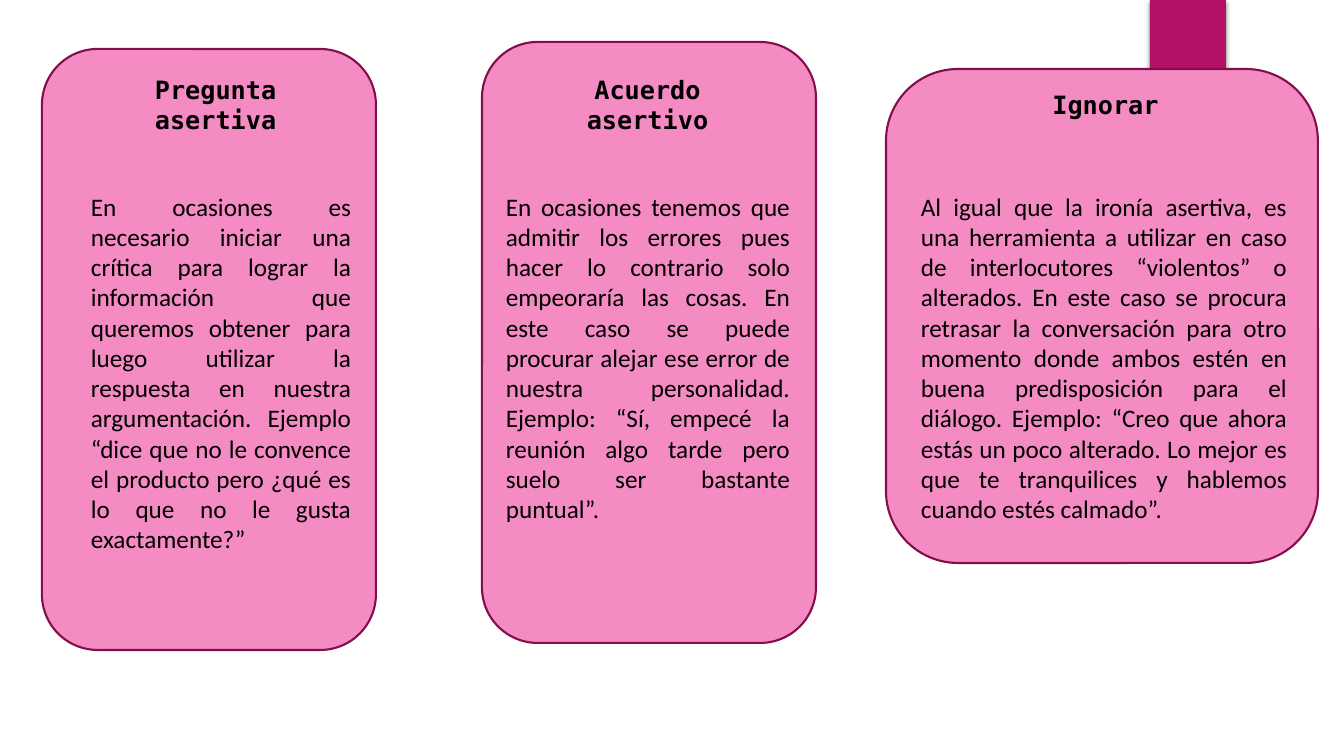
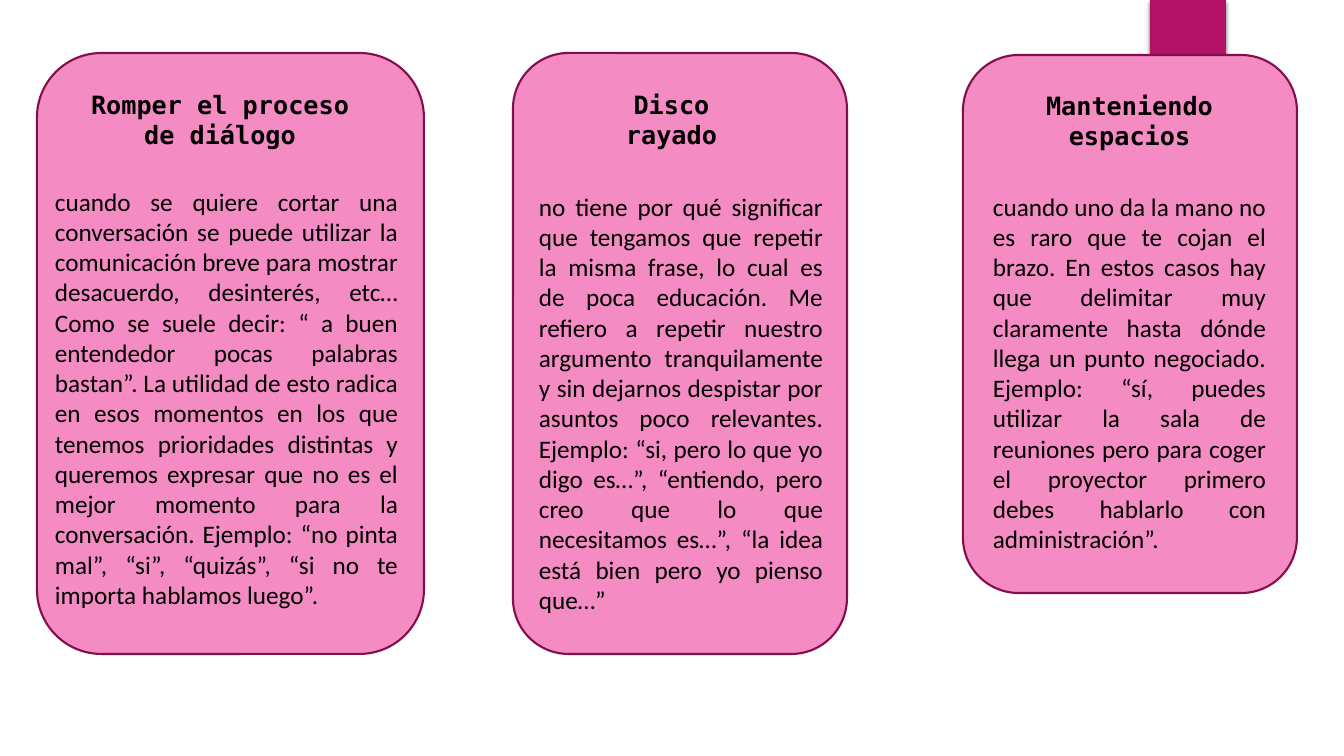
from lxml.etree import SubElement
from pptx import Presentation
from pptx.dml.color import RGBColor
from pptx.enum.shapes import MSO_SHAPE as Shape
from pptx.enum.text import MSO_AUTO_SIZE as AutoSize, PP_ALIGN as Align
from pptx.oxml.ns import qn
from pptx.util import Emu, Pt

SLIDES = [
    [
        {
            "card": (42, 49, 334, 601),
            "heading": ("Pregunta asertiva", (134, 69, 163, 72)),
            "advice": (
                "En ocasiones es necesario iniciar una crítica para lograr la "
                "información que queremos obtener para luego utilizar la respuesta "
                "en nuestra argumentación. Ejemplo “dice que no le convence el "
                "producto pero ¿qué es lo que no le gusta exactamente?”",
                (81, 186, 280, 377),
            ),
        },
        {
            "card": (482, 42, 334, 601),
            "heading": ("Acuerdo asertivo", (566, 69, 163, 72)),
            "advice": (
                "En ocasiones tenemos que admitir los errores pues hacer lo "
                "contrario solo empeoraría las cosas. En este caso se puede "
                "procurar alejar ese error de nuestra personalidad. Ejemplo: “Sí, "
                "empecé la reunión algo tarde pero suelo ser bastante puntual”.",
                (496, 186, 304, 346),
            ),
        },
        {
            "card": (886, 69, 432, 494),
            "heading": ("Ignorar", (1000, 84, 211, 40)),
            "advice": (
                "Al igual que la ironía asertiva, es una herramienta a utilizar en "
                "caso de interlocutores “violentos” o alterados. En este caso se "
                "procura retrasar la conversación para otro momento donde ambos "
                "estén en buena predisposición para el diálogo. Ejemplo: “Creo que "
                "ahora estás un poco alterado. Lo mejor es que te tranquilices y "
                "hablemos cuando estés calmado”.",
                (911, 186, 386, 346),
            ),
        },
    ],
    [
        {
            "card": (37, 53, 387, 601),
            "heading": ("Romper el proceso de diálogo", (76, 84, 288, 72)),
            "advice": (
                "cuando se quiere cortar una conversación se puede utilizar la "
                "comunicación breve para mostrar desacuerdo, desinterés, etc… Como "
                "se suele decir: “ a buen entendedor pocas palabras bastan”. La "
                "utilidad de esto radica en esos momentos en los que tenemos "
                "prioridades distintas y queremos expresar que no es el mejor "
                "momento para la conversación. Ejemplo: “no pinta mal”, “si”, "
                "“quizás”, “si no te importa hablamos luego”.",
                (45, 181, 363, 437),
            ),
        },
        {
            "card": (513, 53, 334, 601),
            "heading": ("Disco rayado", (590, 84, 163, 72)),
            "advice": (
                "no tiene por qué significar que tengamos que repetir la misma "
                "frase, lo cual es de poca educación. Me refiero a repetir nuestro "
                "argumento tranquilamente y sin dejarnos despistar por asuntos poco "
                "relevantes. Ejemplo: “si, pero lo que yo digo es…”, “entiendo, "
                "pero creo que lo que necesitamos es…”, “la idea está bien pero yo "
                "pienso que…”",
                (529, 186, 304, 437),
            ),
        },
        {
            "card": (963, 55, 334, 538),
            "heading": ("Manteniendo espacios", (1024, 85, 211, 72)),
            "advice": (
                "cuando uno da la mano no es raro que te cojan el brazo. En estos "
                "casos hay que delimitar muy claramente hasta dónde llega un punto "
                "negociado. Ejemplo: “sí, puedes utilizar la sala de reuniones pero "
                "para coger el proyector primero debes hablarlo con administración”.",
                (983, 186, 293, 377),
            ),
        },
    ],
]

SLIDE_SIZE = (1344, 756)
BAND = (1150, 0, 76, 126)
COLOURS = {"band": "B31166", "card": "F48CC3", "outline": "840D4B", "text": "000000"}
HEADING = {"name": "DejaVu Sans Mono", "size": Pt(18), "bold": True}
ADVICE = {"name": "Calibri", "size": Pt(18), "bold": False}
FRAME = {"word_wrap": True, "auto_size": AutoSize.SHAPE_TO_FIT_TEXT}
BAND_SHADOW = {"blurRad": Pt(3), "dist": Pt(2), "dir": 90 * 60000, "rotWithShape": 0}
EMU_PER_PX = 914400 / 100.8


def px(*lengths):
    return [Emu(round(length * EMU_PER_PX)) for length in lengths]


def colour(name):
    return RGBColor.from_string(COLOURS[name])


def apply(target, values):
    for attribute, value in values.items():
        setattr(target, attribute, value)


def add_panel(slide, kind, box, fill, outline=None):
    panel = slide.shapes.add_shape(kind, *px(*box))
    panel.shadow.inherit = False
    panel.fill.solid()
    panel.fill.fore_color.rgb = colour(fill)
    if outline:
        panel.line.color.rgb = colour(outline)
        panel.line.width = Pt(1.5)
    else:
        panel.line.fill.background()
    return panel


def add_text(slide, wording, box, font, alignment):
    frame = slide.shapes.add_textbox(*px(*box)).text_frame
    apply(frame, FRAME)
    paragraph = frame.paragraphs[0]
    paragraph.alignment = alignment
    run = paragraph.add_run()
    run.text = wording
    apply(run.font, font)
    run.font.color.rgb = colour("text")


def add_layout_band(slide):
    band = add_panel(slide, Shape.RECTANGLE, BAND, "band")
    effects = band._element.spPr.find(qn("a:effectLst"))
    shadow = SubElement(effects, qn("a:outerShdw"),
                        {key: str(int(value)) for key, value in BAND_SHADOW.items()})
    tint = SubElement(shadow, qn("a:srgbClr"), val="000000")
    SubElement(tint, qn("a:alpha"), val="45000")
    slide.slide_layout.shapes._spTree.append(band._element)


def main():
    deck = Presentation()
    deck.slide_width, deck.slide_height = px(*SLIDE_SIZE)
    blank = deck.slide_layouts[6]
    for number, techniques in enumerate(SLIDES):
        slide = deck.slides.add_slide(blank)
        if number == 0:
            add_layout_band(slide)
        for technique in techniques:
            add_panel(slide, Shape.ROUNDED_RECTANGLE, technique["card"], "card", "outline")
            add_text(slide, *technique["heading"], HEADING, Align.CENTER)
            add_text(slide, *technique["advice"], ADVICE, Align.JUSTIFY)
    deck.save("out.pptx")


if __name__ == "__main__":
    main()
